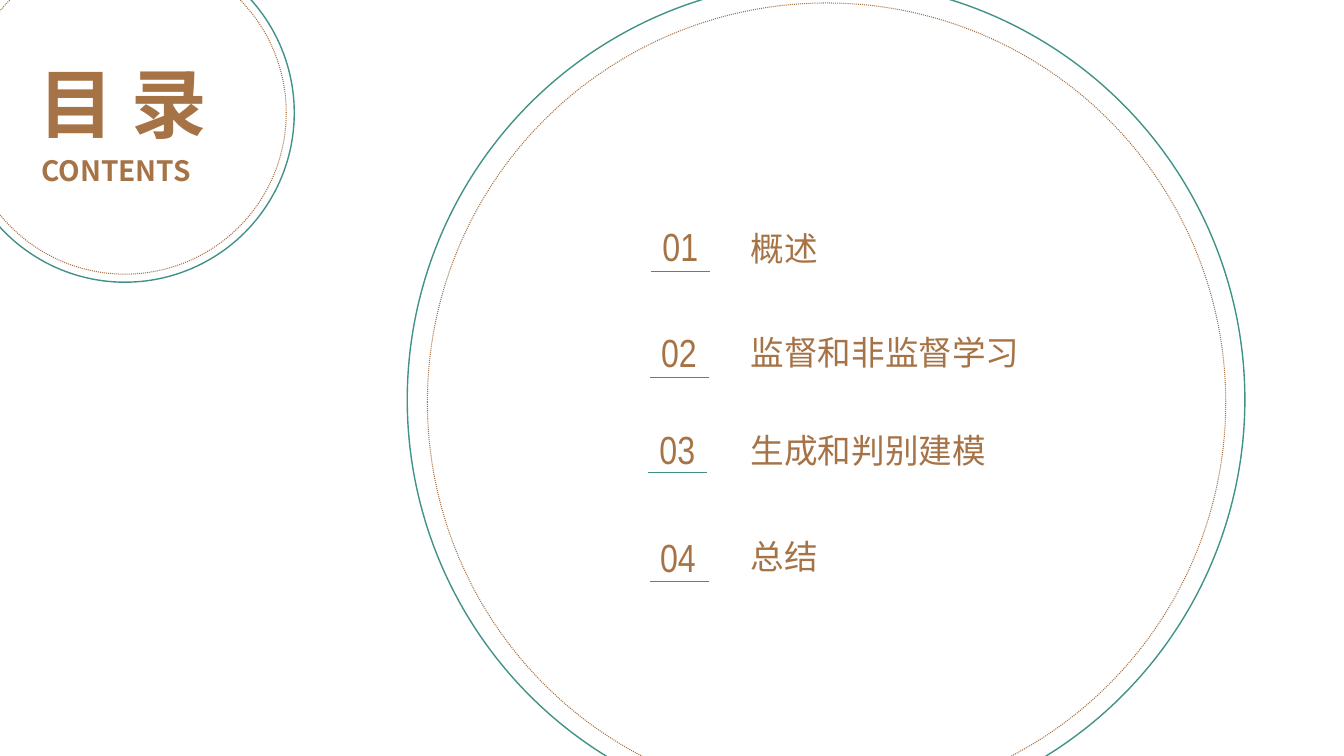
from lxml.etree import SubElement
from pptx import Presentation
from pptx.dml.color import RGBColor
from pptx.enum.dml import MSO_LINE_DASH_STYLE as Dash
from pptx.enum.shapes import MSO_CONNECTOR as Connector, MSO_SHAPE as Shape
from pptx.enum.text import MSO_AUTO_SIZE as AutoSize, PP_ALIGN as Align
from pptx.oxml.ns import qn
from pptx.util import Emu, Pt

PX = 9144  # 100 px to the inch
BROWN, GREEN, RULE_GREEN, WHITE = "A67346", "419287", "3E8F84", "FFFFFF"
CJK_FONT, NUMBER_FONT = "Noto Sans CJK SC", "Arial Narrow"

# Heading, heading top, number, number box (left, top, width), rule (left, y)
CHAPTERS = [
    ("概述", 221, "01", (645, 216, 60), (646, 269)),
    ("监督和非监督学习", 324, "02", (639, 321, 69), (645, 374)),
    ("生成和判别建模", 422, "03", (639, 417, 66), (643, 469)),
    ("总结", 527, "04", (638, 524, 69), (645, 577)),
]


def px(*lengths):
    return [Emu(length * PX) for length in lengths]


def color(value):
    return RGBColor.from_string(value)


def add_circle(slide, left, top, size, line, width, fill=None, dash=None):
    circle = slide.shapes.add_shape(Shape.OVAL, *px(left, top, size, size))
    circle.shadow.inherit = False
    if fill:
        circle.fill.solid()
        circle.fill.fore_color.rgb = color(fill)
    else:
        circle.fill.background()
    circle.line.color.rgb = color(line)
    circle.line.width = Pt(width)
    if dash:
        circle.line.dash_style = dash


def add_ring(slide, outer, inner):
    add_circle(slide, *outer, GREEN, 1, fill=WHITE)
    add_circle(slide, *inner, BROWN, 0.75, dash=Dash.ROUND_DOT)


def add_text(slide, text, left, top, width, height, *, size,
             font=CJK_FONT, bold=False, align=Align.LEFT):
    box = slide.shapes.add_textbox(*px(left, top, width, height))
    frame = box.text_frame
    frame.word_wrap = True
    frame.auto_size = AutoSize.SHAPE_TO_FIT_TEXT
    para = frame.paragraphs[0]
    para.alignment = align
    span = para.add_run()
    span.text = text
    span.font.size = Pt(size)
    span.font.bold = bold
    span.font.color.rgb = color(BROWN)
    span.font.name = font
    # East Asian glyphs take their typeface from a separate element
    SubElement(span.font._element, qn("a:ea"), typeface=font)


def add_rule(slide, left, y, length=58):
    rule = slide.shapes.add_connector(Connector.STRAIGHT, *px(left, y, left + length, y))
    rule.line.color.rgb = color(RULE_GREEN)
    rule.line.width = Pt(0.5)
    SubElement(rule._element.spPr, qn("a:effectLst"))


def add_chapter(slide, heading, heading_top, number, number_box, rule):
    add_text(slide, heading, 735, heading_top, 369, 50, size=24)
    add_text(slide, number, *number_box, 57, size=28, font=NUMBER_FONT, align=Align.CENTER)
    add_rule(slide, *rule)


def main():
    deck = Presentation()
    deck.slide_width, deck.slide_height = Emu(12192000), Emu(6858000)
    slide = deck.slides.add_slide(deck.slide_layouts[6])

    # Rings: title corner, then chapter list
    add_ring(slide, (-44, -56, 336), (-36, -48, 320))
    add_ring(slide, (404, -19, 831), (424, 3, 792))

    # Title
    add_text(slide, "CONTENTS", 31, 147, 181, 46, size=20, bold=True)
    add_text(slide, "目 录", 23, 52, 197, 106, size=54, bold=True, align=Align.CENTER)

    # Chapter list
    for chapter in CHAPTERS:
        add_chapter(slide, *chapter)

    deck.save("out.pptx")


if __name__ == "__main__":
    main()
